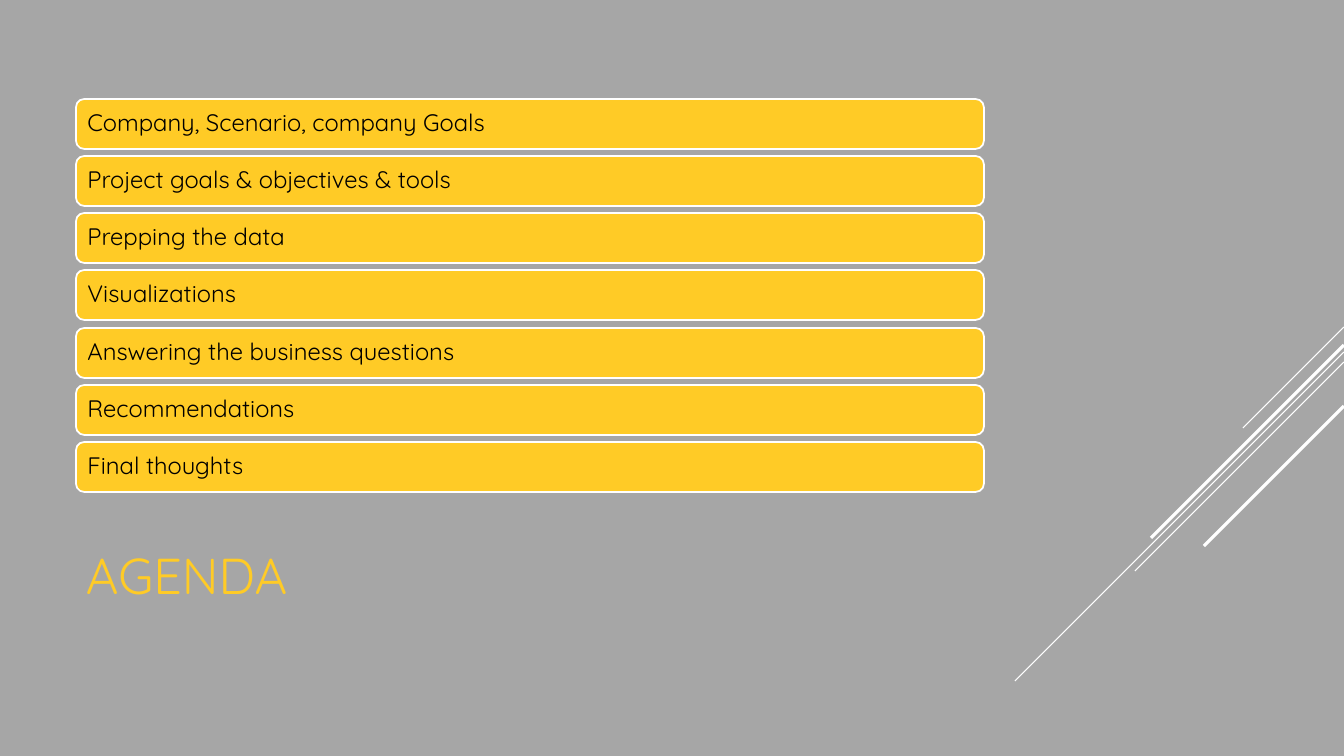
from lxml import etree
from pptx import Presentation
from pptx.dml.color import RGBColor
from pptx.enum.shapes import MSO_CONNECTOR, MSO_SHAPE
from pptx.enum.text import MSO_ANCHOR, PP_ALIGN
from pptx.oxml.ns import qn
from pptx.util import Emu, Pt

STRAIGHT = MSO_CONNECTOR.STRAIGHT
ROUNDED = MSO_SHAPE.ROUNDED_RECTANGLE
MIDDLE = MSO_ANCHOR.MIDDLE
LEFT = PP_ALIGN.LEFT

PAGE_WIDTH, PAGE_HEIGHT = 1344, 756
EMU_PER_PX = 12192000 / PAGE_WIDTH
TITLE_ONLY = 5

COLOURS = {"background": "A6A6A6", "gold": "FFCB26", "white": "FFFFFF", "black": "000000"}

TOPICS = [
    "Company, Scenario, company Goals",
    "Project goals & objectives & tools",
    "Prepping the data",
    "Visualizations",
    "Answering the business questions",
    "Recommendations",
    "Final thoughts",
]
BAR_LEFT, BAR_WIDTH, BAR_HEIGHT = 76, 908, 50
FIRST_TOP, LAST_TOP = 99, 442

# Diagonals from the right edge: start height, reach in px, weight in points
DIAGONALS = [
    (327, 101, 0.75),
    (352, 329, 0.75),
    (362, 209, 0.75),
    (345, 193, 2.25),
    (406, 140, 2.25),
]


def px(length):
    return Emu(round(length * EMU_PER_PX))


def colour(name):
    return RGBColor.from_string(COLOURS[name])


class AgendaPage:
    font = "Quicksand"

    def __init__(self, deck):
        self.page = deck.slides.add_slide(deck.slide_layouts[TITLE_ONLY])
        fill = self.page.background.fill
        fill.solid()
        fill.fore_color.rgb = colour("background")

    def set_text(self, box, text, size, ink, inset):
        frame = box.text_frame
        frame.text = text
        frame.word_wrap = True
        frame.vertical_anchor = MIDDLE
        frame.margin_left = frame.margin_right = px(inset)
        frame.margin_top = frame.margin_bottom = px(5)
        para = frame.paragraphs[0]
        para.alignment = LEFT
        para.line_spacing = 0.9
        span = para.runs[0]
        span.font.name = self.font
        span.font.size = Pt(size)
        span.font.color.rgb = colour(ink)

    def title(self, text, left, top, width, height):
        box = self.page.shapes.title
        box.left, box.top, box.width, box.height = map(px, (left, top, width, height))
        self.set_text(box, text, 36, "gold", 10)

    def bar(self, text, left, top, width, height):
        box = self.page.shapes.add_shape(ROUNDED, *map(px, (left, top, width, height)))
        box.shadow.inherit = False
        box.fill.solid()
        box.fill.fore_color.rgb = colour("gold")
        box.line.color.rgb = colour("white")
        box.line.width = Pt(1.25)
        self.set_text(box, text, 17, "black", 9)

    def diagonal(self, top, reach, weight):
        ends = (PAGE_WIDTH, top, PAGE_WIDTH - reach, top + reach)
        line = self.page.shapes.add_connector(STRAIGHT, *map(px, ends))
        line.line.color.rgb = colour("white")
        line.line.width = Pt(weight)
        etree.SubElement(line._element.spPr, qn("a:effectLst"))


def main():
    deck = Presentation()
    deck.slide_width, deck.slide_height = px(PAGE_WIDTH), px(PAGE_HEIGHT)
    agenda = AgendaPage(deck)

    # Decorative diagonals
    for top, reach, weight in DIAGONALS:
        agenda.diagonal(top, reach, weight)

    # Title
    agenda.title("AGENDA", BAR_LEFT, 495, 940, 166)

    # Topic bars, evenly spread from first to last
    pitch = (LAST_TOP - FIRST_TOP) / (len(TOPICS) - 1)
    for index, topic in enumerate(TOPICS):
        top = round(FIRST_TOP + index * pitch)
        agenda.bar(topic, BAR_LEFT, top, BAR_WIDTH, BAR_HEIGHT)

    deck.save("out.pptx")


if __name__ == "__main__":
    main()
